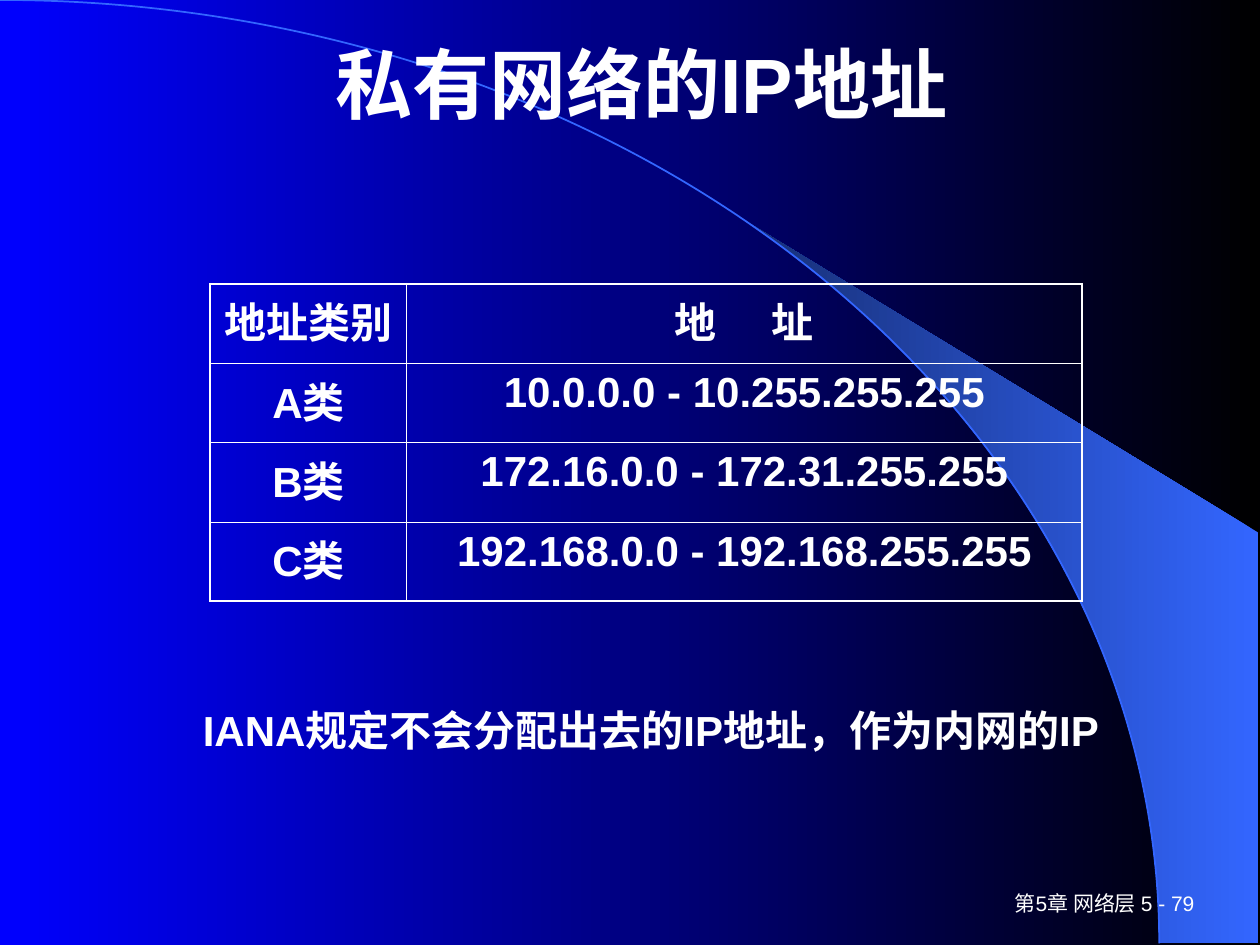
import math

from lxml import etree
from pptx import Presentation
from pptx import util as u
from pptx.dml.color import RGBColor
from pptx.enum import shapes, text
from pptx.oxml.ns import qn

WHITE = RGBColor(0xFF, 0xFF, 0xFF)
BLACK = RGBColor(0, 0, 0)
BLUE = RGBColor(0, 0, 0xFF)
LIGHT_BLUE = RGBColor(0x33, 0x66, 0xFF)
DARK_BLUE = RGBColor(0x17, 0x2F, 0x75)

FONT = "Arial"
ARC_WIDTH, ARC_HEIGHT = 23.37, 19.02
OUTER_LINE, INNER_LINE = 1.08, 0.45
COLUMN_WIDTHS = (3.96, 13.61)
ROW_HEIGHT = 1.6
HEADING_GAP = 26
ADDRESS_ROWS = [
    (["地址类别"], ["地", " ", "址"]),
    (["A类"], ["10.0.0.0 - 10.255.255.255"]),
    (["B类"], ["172.16.0.0 - 172.31.255.255"]),
    (["C类"], ["192.168.0.0 - 192.168.255.255"]),
]


def set_gradient(fill, right_color, left_color):
    fill.gradient()
    fill.gradient_angle = 180
    for stop, color in zip(fill.gradient_stops, (right_color, left_color)):
        stop.color.rgb = color


def add_run(paragraph, words, size, bold=True):
    run = paragraph.add_run()
    run.text = words
    run.font.name = FONT
    run.font.size = u.Pt(size)
    run.font.bold = bold
    run.font.color.rgb = WHITE
    return run


def add_text(slide, box, words, size, bold=True, align=text.PP_ALIGN.CENTER,
             anchor=text.MSO_ANCHOR.MIDDLE, wrap=True):
    shape = slide.shapes.add_textbox(*map(u.Cm, box))
    frame = shape.text_frame
    frame.word_wrap = wrap
    frame.vertical_anchor = anchor
    paragraph = frame.paragraphs[0]
    paragraph.alignment = align
    add_run(paragraph, words, size, bold)
    return shape


def add_wedge(slide):
    curve = []
    for degrees in range(40, 91, 2):
        angle = math.radians(degrees)
        curve.append((u.Cm(ARC_WIDTH * math.sin(angle)),
                      u.Cm(ARC_HEIGHT * (1 - math.cos(angle)))))
    right = u.Cm(25.37)
    corners = [(right, u.Cm(ARC_HEIGHT)), (right, u.Cm(10.74))]
    builder = slide.shapes.build_freeform(*curve[0], scale=1.0)
    builder.add_line_segments(curve[1:] + corners, close=True)
    wedge = builder.convert_to_shape()
    wedge.shadow.inherit = False
    wedge.line.fill.background()
    set_gradient(wedge.fill, LIGHT_BLUE, DARK_BLUE)


def add_arc(slide):
    arc = slide.shapes.add_shape(
        shapes.MSO_SHAPE.ARC, u.Cm(-ARC_WIDTH), 0,
        u.Cm(2 * ARC_WIDTH), u.Cm(2 * ARC_HEIGHT))
    arc.shadow.inherit = False
    arc.fill.background()
    arc.line.color.rgb = LIGHT_BLUE
    arc.line.width = u.Pt(1)


def set_borders(cell, outer_sides):
    properties = cell._tc.get_or_add_tcPr()
    for index, side in enumerate("LRTB"):
        width = OUTER_LINE if side in outer_sides else INNER_LINE
        line = etree.Element(qn(f"a:ln{side}"), w=str(u.Pt(width)))
        fill = etree.SubElement(line, qn("a:solidFill"))
        etree.SubElement(fill, qn("a:srgbClr"), val=str(WHITE))
        properties.insert(index, line)


def add_address_table(slide):
    row_count, column_count = len(ADDRESS_ROWS), len(COLUMN_WIDTHS)
    table = slide.shapes.add_table(
        row_count, column_count, u.Cm(4.24), u.Cm(5.72),
        u.Cm(sum(COLUMN_WIDTHS)), u.Cm(ROW_HEIGHT * row_count)).table
    table.first_row = False
    table.horz_banding = False
    for column, width in zip(table.columns, COLUMN_WIDTHS):
        column.width = u.Cm(width)
    for r, row in enumerate(ADDRESS_ROWS):
        table.rows[r].height = u.Cm(ROW_HEIGHT)
        for c, pieces in enumerate(row):
            cell = table.cell(r, c)
            cell.fill.background()
            outer_sides = "L" if c == 0 else "R"
            if r == 0:
                outer_sides += "T"
            if r == row_count - 1:
                outer_sides += "B"
            set_borders(cell, outer_sides)
            paragraph = cell.text_frame.paragraphs[0]
            paragraph.alignment = text.PP_ALIGN.CENTER
            for piece in pieces:
                run = add_run(paragraph, piece, 24)
                if piece == " ":
                    run.font._element.set("spc", str(HEADING_GAP * 100))


def main():
    presentation = Presentation()
    presentation.slide_width = u.Cm(25.4)
    presentation.slide_height = u.Cm(19.05)
    slide = presentation.slides.add_slide(presentation.slide_layouts[6])
    set_gradient(slide.background.fill, BLACK, BLUE)
    add_wedge(slide)
    add_arc(slide)
    add_text(slide, (19.05, 17.78, 5.28, 0.84), "第5章 网络层 5 - 79", 12,
             bold=False, align=text.PP_ALIGN.RIGHT)
    add_text(slide, (2.31, 0.53, 21.59, 2.26), "私有网络的IP地址 ", 44)
    add_address_table(slide)
    caption = add_text(slide, (3.43, 14.07, 19.38, 1.27),
                       "IANA规定不会分配出去的IP地址，作为内网的IP", 24,
                       anchor=text.MSO_ANCHOR.TOP, wrap=False)
    caption.text_frame.auto_size = text.MSO_AUTO_SIZE.SHAPE_TO_FIT_TEXT
    presentation.save("out.pptx")


if __name__ == "__main__":
    main()
